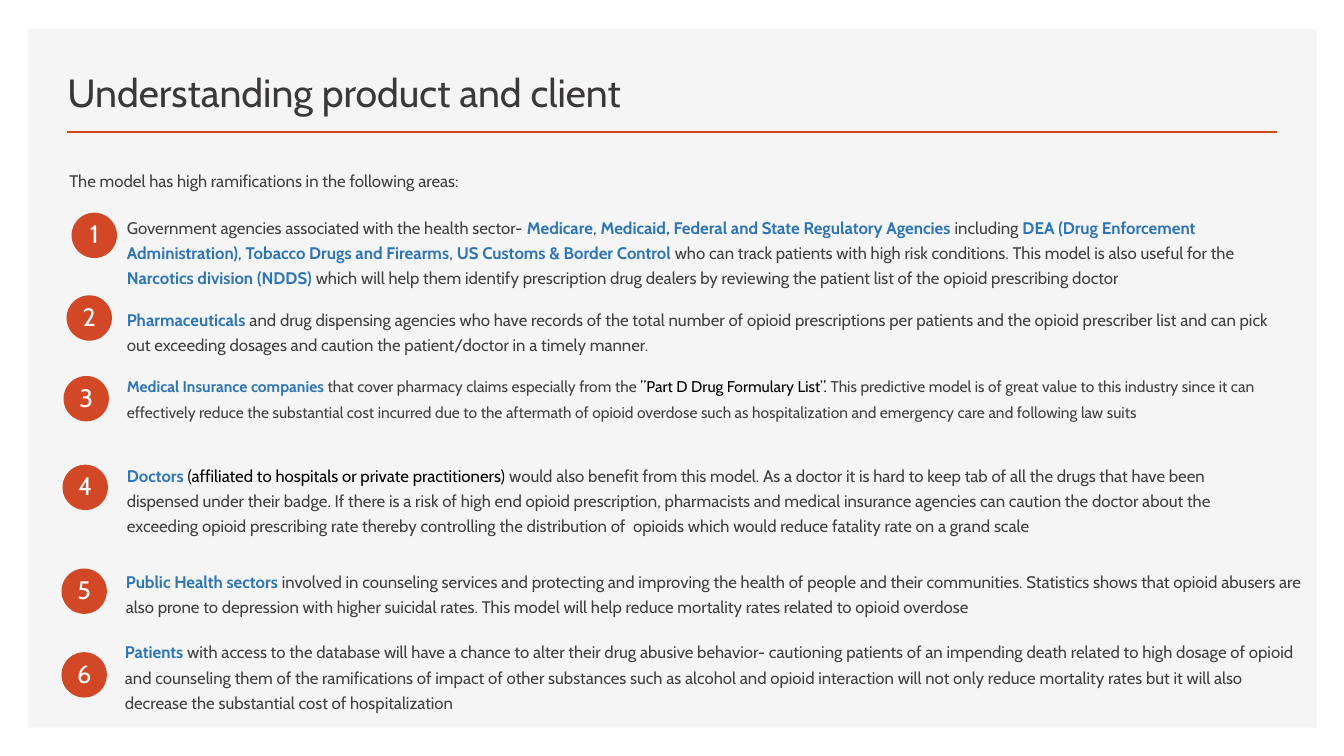
import pptx
import pptx.dml.color
import pptx.enum.shapes
import pptx.enum.text
import pptx.util
from lxml import etree
from pptx.util import Inches

COLORS = {
    "panel": "F5F5F5",
    "accent": "D24726",
    "title": "3B3838",
    "body": "404040",
    "key": "2E75B6",
    "black": "000000",
    "white": "FFFFFF",
}
FONT = "Cabin"
BADGE_SIZE = 0.45

AREAS = [
    {"badge": (0.71, 2.11), "box": (1.16, 2.06, 11.75, 0.94), "after": 6, "spans": [
        ("Government agencies associated with the health sector- ", "body"),
        ("Medicare", "key"),
        (", ", "body"),
        ("Medicaid, Federal and State Regulatory Agencies ", "key"),
        ("including ", "body"),
        ("DEA (Drug Enforcement Administration)", "key"),
        (", ", "body"),
        ("Tobacco Drugs and Firearms", "key"),
        (", ", "body"),
        ("US Customs & Border Control ", "key"),
        ("who can track patients with high risk conditions. This model is also "
         "useful for the ", "body"),
        ("Narcotics division (NDDS) ", "key"),
        ("which will help them identify prescription drug dealers by reviewing "
         "the patient list of the opioid prescribing doctor", "body"),
    ]},
    {"badge": (0.66, 2.93), "box": (1.16, 2.97, 11.75, 0.75), "after": 20, "spans": [
        ("Pharmaceuticals", "key"),
        (" and drug dispensing agencies who have records of the total number of "
         "opioid prescriptions per patients and the opioid prescriber list and can "
         "pick out exceeding dosages and caution the patient/doctor in a timely "
         "manner.", "body"),
    ]},
    {"badge": (0.63, 3.73), "box": (1.16, 3.63, 11.87, 0.69), "after": 6, "size": 11.1, "spans": [
        ("Medical Insurance companies", "key"),
        (" that cover pharmacy claims especially from the ", "body"),
        ("”Part D Drug Formulary List”. ", "black"),
        ("This predictive model is of great value to this industry since it can "
         "effectively reduce the substantial cost incurred due to the aftermath of "
         "opioid overdose such as hospitalization and emergency care and following "
         "law suits", "body"),
    ]},
    {"badge": (0.62, 4.61), "box": (1.16, 4.52, 11.45, 1.01), "after": 20, "spans": [
        ("Doctors ", "key"),
        ("(affiliated to hospitals or private practitioners) ", "black"),
        ("would also benefit from this model. As a doctor it is hard to keep tab of "
         "all the drugs that have been dispensed under their badge. If there is a "
         "risk of high end opioid prescription, pharmacists and medical insurance "
         "agencies can caution the doctor about the exceeding opioid prescribing "
         "rate thereby controlling the distribution of  opioids which would reduce "
         "fatality rate on a grand scale", "body"),
    ]},
    {"badge": (0.61, 5.64), "box": (1.15, 5.57, 11.87, 0.69), "after": 6, "spans": [
        ("Public Health sectors ", "key"),
        ("involved in counseling services and protecting and improving the health "
         "of people and their communities. Statistics shows that opioid abusers are "
         "also prone to depression with higher suicidal rates. This model will help "
         "reduce mortality rates related to opioid overdose", "body"),
    ]},
    {"badge": (0.61, 6.47), "box": (1.14, 6.27, 11.87, 1.01), "after": 6, "spans": [
        ("Patients ", "key"),
        ("with access to the database will have a chance to alter their drug abusive "
         "behavior- cautioning patients of an impending death related to high dosage "
         "of opioid and counseling them of the ramifications of impact of other "
         "substances such as alcohol and opioid interaction will not only reduce "
         "mortality rates but it will also decrease the substantial cost of "
         "hospitalization", "body"),
    ]},
]


def rgb(name):
    return pptx.dml.color.RGBColor.from_string(COLORS[name])


def add_text(shapes, box, spans, size=12, line=None, before=0, after=0,
             align="LEFT", anchor="TOP", grow=False):
    label = shapes.add_textbox(*map(Inches, box))
    frame = label.text_frame
    frame.word_wrap = True
    frame.vertical_anchor = pptx.enum.text.MSO_ANCHOR[anchor]
    if grow:
        frame.auto_size = pptx.enum.text.MSO_AUTO_SIZE.SHAPE_TO_FIT_TEXT
    paragraph = frame.paragraphs[0]
    paragraph.alignment = pptx.enum.text.PP_ALIGN[align]
    paragraph.space_before = pptx.util.Pt(before)
    paragraph.space_after = pptx.util.Pt(after)
    if line:
        paragraph.line_spacing = pptx.util.Pt(line)
    for words, color in spans:
        run = paragraph.add_run()
        run.text = words
        run.font.name = FONT
        run.font.size = pptx.util.Pt(size)
        run.font.bold = color == "key"
        run.font.color.rgb = rgb(color)


def add_filled(shapes, kind, box, color):
    filled = shapes.add_shape(pptx.enum.shapes.MSO_SHAPE[kind], *map(Inches, box))
    filled.shadow.inherit = False
    filled.fill.solid()
    filled.fill.fore_color.rgb = rgb(color)
    filled.line.fill.background()


def add_rule(shapes, left, right, top):
    rule = shapes.add_connector(pptx.enum.shapes.MSO_CONNECTOR.STRAIGHT,
                                Inches(left), Inches(top), Inches(right), Inches(top))
    rule.line.color.rgb = rgb("accent")
    rule.line.width = pptx.util.Pt(2)
    etree.SubElement(rule.element.spPr, pptx.oxml.ns.qn("a:effectLst"))


def add_badge(shapes, left, top, number):
    badge = shapes.add_group_shape().shapes
    add_filled(badge, "OVAL", (left, top, BADGE_SIZE, BADGE_SIZE), "accent")
    add_text(badge, (left - 0.08, top + 0.01, 0.61, 0.4), [(str(number), "white")],
             size=18, align="CENTER", grow=True)


def main():
    deck = pptx.Presentation()
    deck.slide_width, deck.slide_height = Inches(13.33), Inches(7.5)
    shapes = deck.slides.add_slide(deck.slide_layouts[6]).shapes

    add_filled(shapes, "RECTANGLE", (0.28, 0.29, 12.78, 6.93), "panel")
    add_rule(shapes, 0.66, 12.67, 1.31)
    add_text(shapes, (0.57, 0.49, 7.52, 0.7),
             [("Understanding product and client", "title")],
             size=28, after=6, anchor="BOTTOM")
    add_text(shapes, (0.59, 1.59, 8.4, 0.52),
             [("The model has high ramifications in the following areas:", "body")],
             line=18, before=10, after=20)
    for number, area in enumerate(AREAS, 1):
        add_badge(shapes, *area["badge"], number)
        add_text(shapes, area["box"], area["spans"], size=area.get("size", 12),
                 line=18, before=10, after=area["after"])

    deck.save("out.pptx")


if __name__ == "__main__":
    main()
